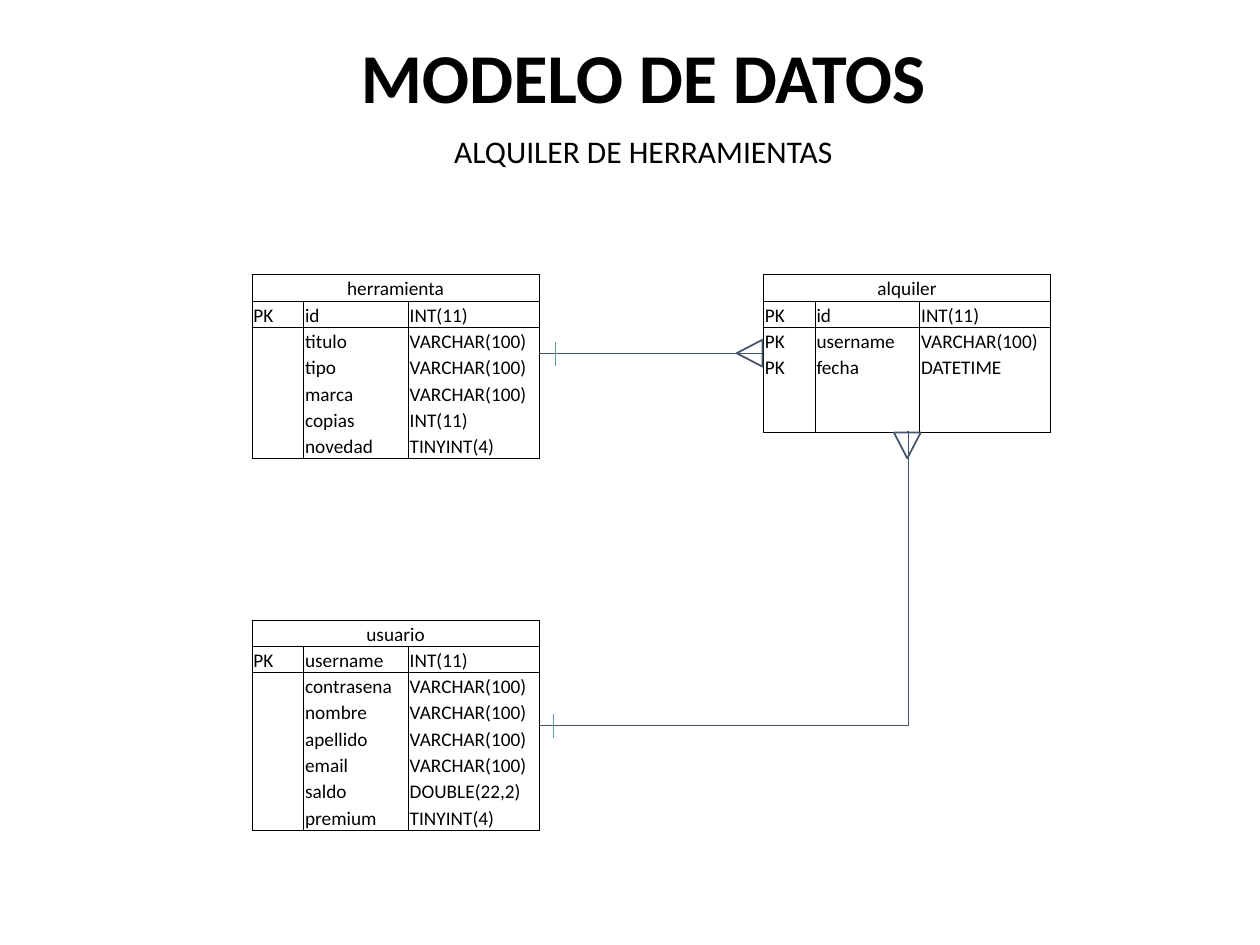
from lxml.etree import SubElement
from pptx import Presentation
from pptx.dml.color import RGBColor as Rgb
from pptx.enum.shapes import MSO_CONNECTOR as Link, MSO_SHAPE as Form
from pptx.enum.text import MSO_ANCHOR as Anchor, PP_ALIGN as Align
from pptx.oxml.ns import qn
from pptx.util import Cm, Pt

HUES = {"ink": "000000", "link": "44546A", "tick": "5B9BD5"}
PLAIN = "{2D5ABB26-0587-4C30-8999-92F81FD0307C}"  # no style, no grid
COLS = (1.04, 2.11, 2.64)
ROW = 0.53
TEXT = "VARCHAR(100)"


def apply(obj, vals):
    for key, val in vals.items():
        setattr(obj, key, val)


class Board:
    font = "Calibri"
    cell = {"margin_left": Cm(0.03), "margin_right": Cm(0.03),
            "margin_top": Cm(0.03), "margin_bottom": 0,
            "vertical_anchor": Anchor.BOTTOM}
    flags = {"first_row": False, "horz_banding": False}

    def __init__(self, slide):
        self.slide = slide
        self.shapes = slide.shapes

    def words(self, para, text, size, bold=False, align=Align.LEFT):
        para.alignment = align
        if not text:  # keeps empty rows at their small height
            SubElement(para._p, qn("a:endParaRPr"), sz=str(size * 100))
            return
        run = para.add_run()
        run.text = text
        apply(run.font, {"name": self.font, "size": Pt(size), "bold": bold})
        run.font.color.rgb = Rgb.from_string(HUES["ink"])

    def label(self, x, y, w, h, text, size, bold=False):
        frame = self.shapes.add_textbox(Cm(x), Cm(y), Cm(w), Cm(h)).text_frame
        frame.word_wrap = True
        self.words(frame.paragraphs[0], text, size, bold, Align.CENTER)

    def edge(self, cell, sides):
        props = cell._tc.get_or_add_tcPr()
        for side in sides:
            line = SubElement(props, qn("a:ln" + side), w=str(Pt(0.5)))
            fill = SubElement(line, qn("a:solidFill"))
            SubElement(fill, qn("a:srgbClr"), val=HUES["ink"])

    def table(self, x, y, name, rows):
        count = len(rows) + 1
        frame = self.shapes.add_table(count, len(COLS), Cm(x), Cm(y),
                                      Cm(sum(COLS)), Cm(ROW * count))
        grid = frame.table
        apply(grid, self.flags)
        grid._tbl.tblPr.find(qn("a:tableStyleId")).text = PLAIN
        for col, wide in zip(grid.columns, COLS):
            col.width = Cm(wide)
        for row in grid.rows:
            row.height = Cm(ROW)
        grid.cell(0, 0).merge(grid.cell(0, len(COLS) - 1))
        for r, row in enumerate([(name, "", ""), *rows]):
            sides = "LR" + "T" * (r < 2) + "B" * (r in (0, count - 1))
            for c, text in enumerate(row):
                cell = grid.cell(r, c)
                apply(cell, self.cell)
                self.edge(cell, sides)
                cell.fill.background()
                self.words(cell.text_frame.paragraphs[0], text, 11,
                           align=Align.LEFT if r else Align.CENTER)
        return frame

    def line(self, x1, y1, x2, y2, hue="link", kind=Link.STRAIGHT, bend=None):
        link = self.shapes.add_connector(kind, Cm(x1), Cm(y1), Cm(x2), Cm(y2))
        link.line.color.rgb = Rgb.from_string(HUES[hue])
        link.line.width = Pt(0.5)
        props = link._element.spPr
        SubElement(props, qn("a:effectLst"))
        if bend is not None:
            guides = props.find(qn("a:prstGeom")).find(qn("a:avLst"))
            SubElement(guides, qn("a:gd"), name="adj1", fmla=f"val {bend}")
        return link

    def foot(self, x, y, turn):
        shape = self.shapes.add_shape(Form.ISOSCELES_TRIANGLE,
                                      Cm(x), Cm(y), Cm(0.54), Cm(0.52))
        shape.rotation = turn
        shape.shadow.inherit = False
        shape.fill.background()
        shape.line.color.rgb = Rgb.from_string(HUES["link"])
        shape.line.width = Pt(1)


def main():
    deck = Presentation()
    apply(deck, {"slide_width": Cm(25.4), "slide_height": Cm(19.05)})
    board = Board(deck.slides.add_slide(deck.slide_layouts[6]))

    # Entities
    tool = board.table(5.08, 5.54, "herramienta", [
        ("PK", "id", "INT(11)"), ("", "titulo", TEXT), ("", "tipo", TEXT),
        ("", "marca", TEXT), ("", "copias", "INT(11)"),
        ("", "novedad", "TINYINT(4)")])
    board.table(5.08, 12.5, "usuario", [
        ("PK", "username", "INT(11)"), ("", "contrasena", TEXT),
        ("", "nombre", TEXT), ("", "apellido", TEXT), ("", "email", TEXT),
        ("", "saldo", "DOUBLE(22,2)"), ("", "premium", "TINYINT(4)")])
    rent = board.table(15.39, 5.54, "alquiler", [
        ("PK", "id", "INT(11)"), ("PK", "username", TEXT),
        ("PK", "fecha", "DATETIME"), ("", "", ""), ("", "", "")])

    # Relations
    right = (tool.left + tool.width) / Cm(1)
    board.line(right, 7.13, 15.39, 7.13).end_connect(rent, 1)
    board.line(18.29, 8.7, right, 14.62, kind=Link.ELBOW, bend=-400)

    # "One" ticks and "many" crow's feet
    board.line(11.2, 6.89, 11.2, 7.38, "tick")
    board.line(11.15, 14.4, 11.15, 14.88, "tick")
    board.foot(18.02, 8.72, 180)
    board.foot(14.84, 6.86, 270)

    # Headings
    board.label(1.14, 0.56, 23.65, 1.96, "MODELO DE DATOS", 40, True)
    board.label(8.36, 2.54, 9.22, 1.02, "ALQUILER DE HERRAMIENTAS", 18)
    deck.save("out.pptx")


if __name__ == "__main__":
    main()
